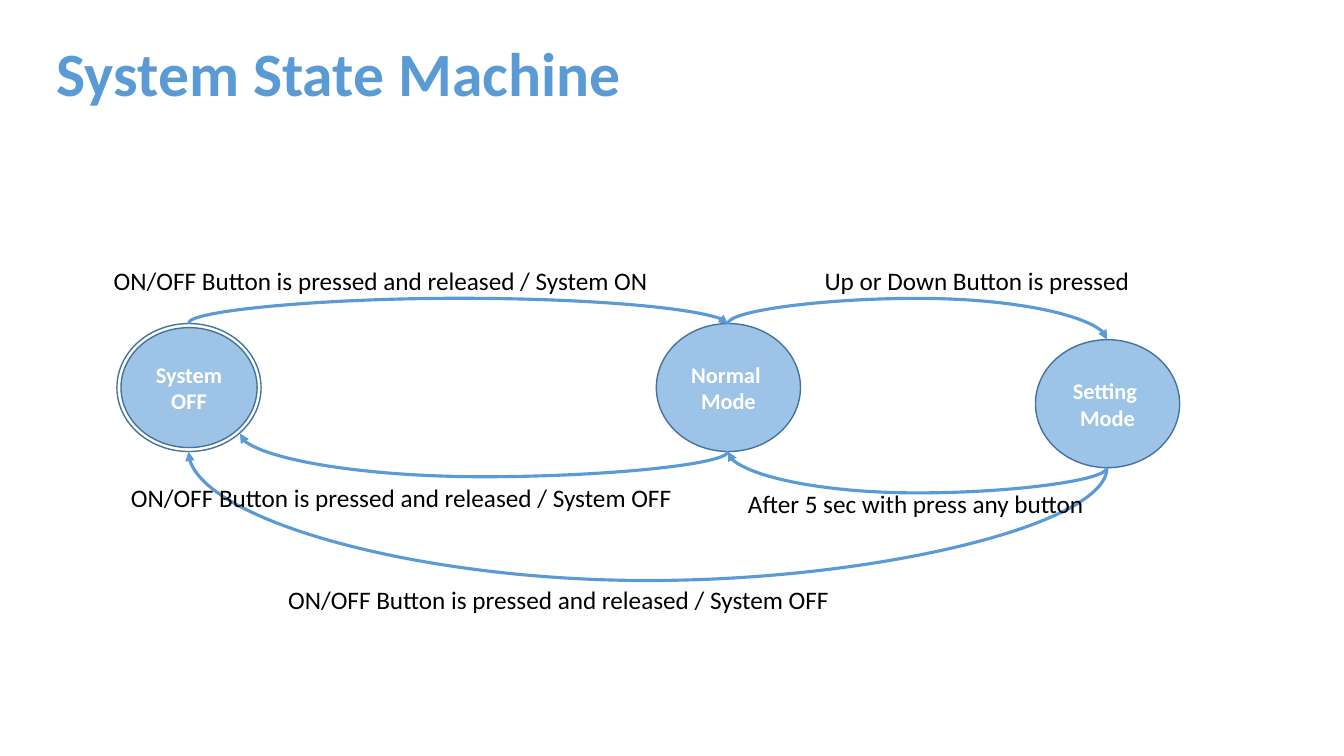
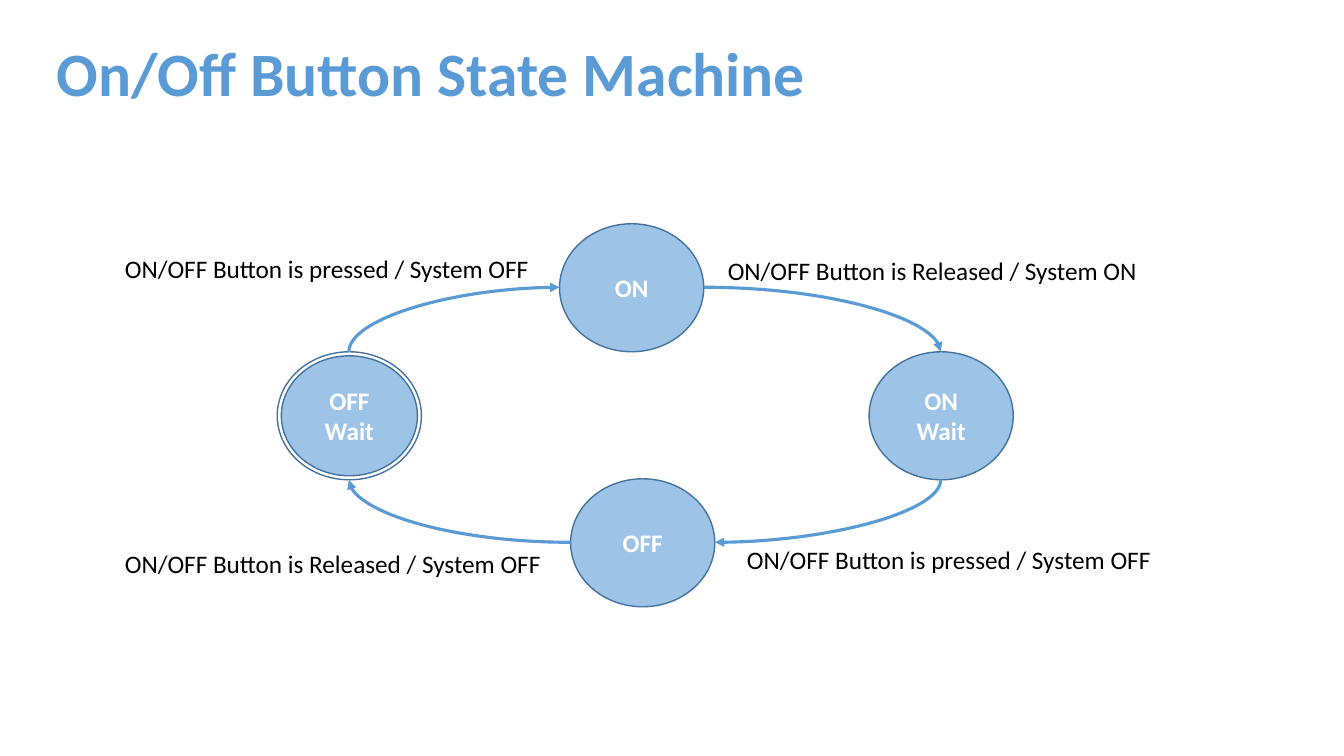
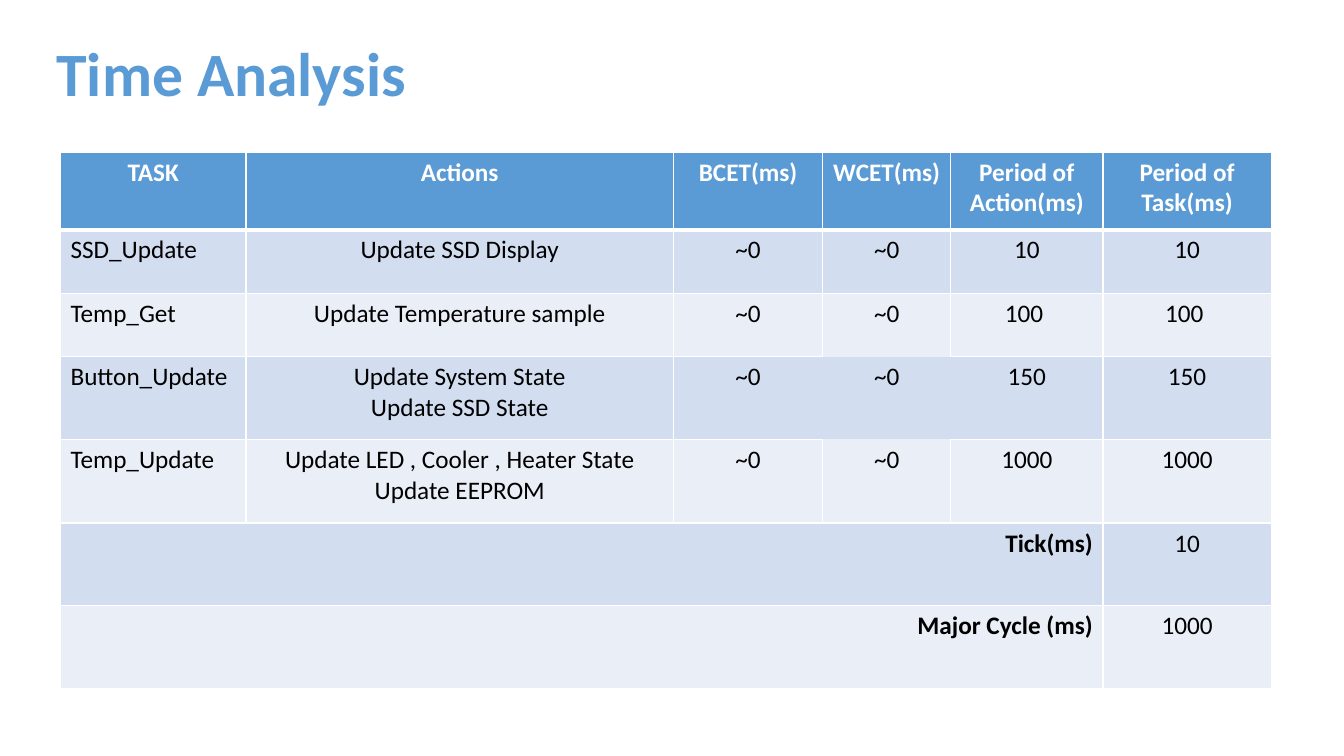
"""Build three slides: two state machines and a timing table."""
import dataclasses

import lxml.etree
import pptx
import pptx.dml.color
import pptx.enum.shapes
import pptx.enum.text
import pptx.oxml.ns
import pptx.util

ALIGN = pptx.enum.text.PP_ALIGN
ANCHOR = pptx.enum.text.MSO_ANCHOR
qn = pptx.oxml.ns.qn


@dataclasses.dataclass(frozen=True)
class Theme:
    """Colours, font and type sizes of the deck."""
    accent: str = "5B9BD5"
    state: str = "9DC3E6"
    outline: str = "43739E"
    band: str = "D2DEEF"
    light_band: str = "EAEFF7"
    white: str = "FFFFFF"
    ink: str = "000000"
    font: str = "Calibri"
    title_size: int = 44
    body_size: int = 18
    small_size: int = 16


@dataclasses.dataclass(frozen=True)
class Box:
    """A rectangle in px with the joints used by arrows."""
    x: int
    y: int
    w: int
    h: int

    def inner(self, x, y, w, h):
        """Return a box placed relative to this one."""
        return Box(self.x + x, self.y + y, w, h)

    def emu(self):
        """Return left, top, width and height in EMU."""
        return [px(length) for length in (self.x, self.y, self.w, self.h)]

    def joint(self, side):
        """Return the point of the inscribed ellipse on the named side."""
        across, down = JOINTS[side]
        return self.x + int(self.w * across), self.y + int(self.h * down)


THEME = Theme()
JOINTS = {"top": (0.5, 0), "bottom": (0.5, 1), "left": (0, 0.5),
          "right": (1, 0.5), "corner": (0.86, 0.86)}
STATE_W, STATE_H, RING_GAP = 143, 127, 4
TITLE_BOX = Box(0, 17, 1216, 102)


def px(length):
    """Turn px, 100 to the inch, into EMU."""
    return pptx.util.Emu(round(length * 9144))


def rgb(code):
    """Turn a hex code into a colour."""
    return pptx.dml.color.RGBColor.from_string(code)


def write(frame, lines, size, color, bold=False, align=ALIGN.LEFT):
    """Write one paragraph per line into a text frame."""
    for index, line in enumerate(lines):
        paragraph = frame.add_paragraph() if index else frame.paragraphs[0]
        paragraph.alignment = align
        run = paragraph.add_run()
        run.text = line
        run.font.name = THEME.font
        run.font.size = pptx.util.Pt(size)
        run.font.bold = bold
        run.font.color.rgb = rgb(color)


def add_titled_slide(deck, heading):
    """Add a title-only slide with the shared title style."""
    slide = deck.slides.add_slide(deck.slide_layouts[5])
    title = slide.shapes.title
    title.left, title.top, title.width, title.height = TITLE_BOX.emu()
    title.line.color.rgb = rgb(THEME.white)
    title.line.width = pptx.util.Pt(0.75)
    frame = title.text_frame
    frame.word_wrap = True
    frame.auto_size = pptx.enum.text.MSO_AUTO_SIZE.NONE
    frame.vertical_anchor = ANCHOR.BOTTOM
    frame.margin_left, frame.margin_bottom = px(56), px(10)
    write(frame, [heading], THEME.title_size, THEME.accent, bold=True)
    frame.paragraphs[0].line_spacing = 0.9
    return slide


def add_ellipse(slide, box, fill=None):
    """Add an outlined ellipse, filled when a colour is given."""
    ellipse = slide.shapes.add_shape(pptx.enum.shapes.MSO_SHAPE.OVAL, *box.emu())
    ellipse.shadow.inherit = False
    ellipse.line.color.rgb = rgb(THEME.outline)
    ellipse.line.width = pptx.util.Pt(1)
    if fill:
        ellipse.fill.solid()
        ellipse.fill.fore_color.rgb = rgb(fill)
    else:
        ellipse.fill.background()
    return ellipse


def add_state(slide, box, lines, size, initial):
    """Add a state, with a ring around the initial one."""
    if initial:
        add_ellipse(slide, box)
        box = box.inner(RING_GAP, RING_GAP, box.w - 2 * RING_GAP, box.h - 2 * RING_GAP)
    state = add_ellipse(slide, box, THEME.state)
    state.text_frame.word_wrap = True
    state.text_frame.vertical_anchor = ANCHOR.MIDDLE
    write(state.text_frame, lines, size, THEME.white, True, ALIGN.CENTER)


def add_transition(slide, start, end, turn, bend):
    """Add a curved arrow: a quarter turn, or a U that leaves by bend px."""
    (x1, y1), (x2, y2) = start, end
    w, h = abs(x2 - x1), abs(y2 - y1)
    if turn % 180:
        w, h = h, w
    if bend:
        w = max(w, 1)
    left, top = (x1 + x2 - w) / 2, (y1 + y2 - h) / 2
    arrow = slide.shapes.add_connector(
        pptx.enum.shapes.MSO_CONNECTOR.CURVE, px(left), px(top), px(left + w), px(top + h))
    arrow.line.color.rgb = rgb(THEME.accent)
    arrow.line.width = pptx.util.Pt(2.25)
    properties = arrow._element.spPr
    frame = properties.find(qn("a:xfrm"))
    frame.set("rot", str(turn * 60000))
    curve = properties.find(qn("a:prstGeom"))
    if bend:
        frame.set("flipH", "1")
        guides = curve.find(qn("a:avLst"))
        if guides is None:
            guides = lxml.etree.SubElement(curve, qn("a:avLst"))
        lxml.etree.SubElement(guides, qn("a:gd"), name="adj1",
                              fmla=f"val {round(-bend / w * 100000)}")
    else:
        curve.set("prst", "curvedConnector2")
    lxml.etree.SubElement(properties.find(qn("a:ln")), qn("a:tailEnd"), type="triangle")
    lxml.etree.SubElement(properties, qn("a:effectLst"))


def add_label(slide, box, text):
    """Add the caption of a transition."""
    label = slide.shapes.add_textbox(*box.emu())
    label.text_frame.word_wrap = True
    write(label.text_frame, [text], THEME.body_size, THEME.ink)


def add_machine(slide, region, states, transitions, labels, size):
    """Draw a state machine relative to its region."""
    boxes = {}
    for name, (x, y, lines, initial) in states.items():
        boxes[name] = region.inner(x, y, STATE_W, STATE_H)
        add_state(slide, boxes[name], lines, size, initial)
    for source, leaving, target, entering, turn, bend in transitions:
        add_transition(slide, boxes[source].joint(leaving),
                       boxes[target].joint(entering), turn, bend)
    for x, y, width, text in labels:
        add_label(slide, region.inner(x, y, width, 40), text)


def set_borders(cell, row, column, open_cell):
    """Draw white cell borders, heavy under the header, none at the open cell."""
    sides = {"a:lnL": (0, -1), "a:lnR": (0, 1), "a:lnT": (-1, 0), "a:lnB": (1, 0)}
    for tag, (down, across) in sides.items():
        neighbour = (row + down, column + across)
        points = 3 if {row, neighbour[0]} == {0, 1} else 1
        border = lxml.etree.SubElement(cell._tc.get_or_add_tcPr(), qn(tag),
                                       w=str(pptx.util.Pt(points)))
        if open_cell in ((row, column), neighbour):
            lxml.etree.SubElement(border, qn("a:noFill"))
        else:
            fill = lxml.etree.SubElement(border, qn("a:solidFill"))
            lxml.etree.SubElement(fill, qn("a:srgbClr"), val=THEME.white)


def add_timing_table(slide, region, widths, heights, rows, totals, open_cell):
    """Draw the timing table with its merged total rows."""
    span = len(widths) - 1
    total_rows = [[name] + [""] * (span - 1) + [value] for name, value in totals]
    content = rows + total_rows
    table = slide.shapes.add_table(len(content), len(widths), *region.emu()).table
    for column, width in zip(table.columns, widths):
        column.width = px(width)
    for line, height in zip(table.rows, heights):
        line.height = px(height)
    for r, values in enumerate(content):
        is_total = r >= len(rows)
        fill = THEME.accent if r == 0 else THEME.band if r % 2 else THEME.light_band
        for c, text in enumerate(values):
            cell = table.cell(r, c)
            set_borders(cell, r, c, open_cell)
            cell.fill.solid()
            cell.fill.fore_color.rgb = rgb(fill)
            align = ALIGN.CENTER
            if c == 0 and r:
                align = ALIGN.RIGHT if is_total else ALIGN.LEFT
            if text:
                write(cell.text_frame, text.split("\n"), THEME.body_size,
                      THEME.ink if r else THEME.white,
                      r == 0 or (is_total and c == 0), align)
        if is_total:
            table.cell(r, 0).merge(table.cell(r, span - 1))


def add_system_slide(deck):
    """Add the system state machine."""
    states = {
        "normal": (551, 71, ["Normal ", "Mode"], False),
        "off": (16, 71, ["System", "OFF"], True),
        "setting": (927, 87, ["Setting ", "Mode"], False),
    }
    transitions = [
        ("off", "top", "normal", "top", 270, 25),
        ("setting", "bottom", "off", "bottom", 90, 112),
        ("normal", "bottom", "off", "corner", 90, 25),
        ("normal", "top", "setting", "top", 270, 25),
        ("setting", "bottom", "normal", "bottom", 90, 25),
    ]
    switch_off = "ON/OFF Button is pressed and released / System OFF"
    labels = [
        (3, 8, 580, "ON/OFF Button is pressed and released / System ON"),
        (708, 8, 350, "Up or Down Button is pressed"),
        (176, 325, 580, switch_off),
        (20, 224, 580, switch_off),
        (632, 230, 380, "After 5 sec with press any button"),
    ]
    add_machine(add_titled_slide(deck, "System State Machine"), Box(100, 250, 1080, 370),
                states, transitions, labels, THEME.small_size)


def add_button_slide(deck):
    """Add the on/off button state machine."""
    states = {
        "on": (455, 22, ["ON"], False),
        "on wait": (762, 149, ["ON", "Wait"], False),
        "off": (466, 275, ["OFF"], False),
        "off wait": (175, 149, ["OFF", "Wait"], True),
    }
    transitions = [
        ("on", "right", "on wait", "top", 0, 0),
        ("on wait", "bottom", "off", "right", 90, 0),
        ("off", "left", "off wait", "bottom", 180, 0),
        ("off wait", "top", "on", "left", 270, 0),
    ]
    labels = [
        (14, 46, 441, "ON/OFF Button is pressed / System OFF"),
        (612, 48, 441, "ON/OFF Button is Released / System ON"),
        (631, 335, 441, "ON/OFF Button is pressed / System OFF"),
        (14, 339, 441, "ON/OFF Button is Released / System OFF"),
    ]
    add_machine(add_titled_slide(deck, "On/Off Button State Machine"), Box(100, 200, 1080, 420),
                states, transitions, labels, THEME.body_size)


def add_timing_slide(deck):
    """Add the time analysis table."""
    rows = [
        ["TASK", "Actions", "BCET(ms)", "WCET(ms)", "Period of Action(ms)", "Period of Task(ms)"],
        ["SSD_Update", "Update SSD Display", "~0", "~0", "10", "10"],
        ["Temp_Get", "Update Temperature sample", "~0", "~0", "100 ", "100 "],
        ["Button_Update", "Update System State\nUpdate SSD State", "~0", "~0", "150", "150"],
        ["Temp_Update", "Update LED , Cooler , Heater State\nUpdate EEPROM",
         "~0", "~0", "1000", "1000"],
    ]
    totals = [("Tick(ms)", "10"), ("Major Cycle (ms)", "1000")]
    add_timing_table(add_titled_slide(deck, "Time Analysis"), Box(60, 151, 1201, 532),
                     [184, 424, 148, 127, 151, 167], [77, 63, 63, 82, 83, 82, 82],
                     rows, totals, open_cell=(3, 3))


def main():
    """Build and save the deck."""
    deck = pptx.Presentation()
    deck.slide_width, deck.slide_height = px(1333), px(750)
    add_system_slide(deck)
    add_button_slide(deck)
    add_timing_slide(deck)
    deck.save("out.pptx")


if __name__ == "__main__":
    main()
